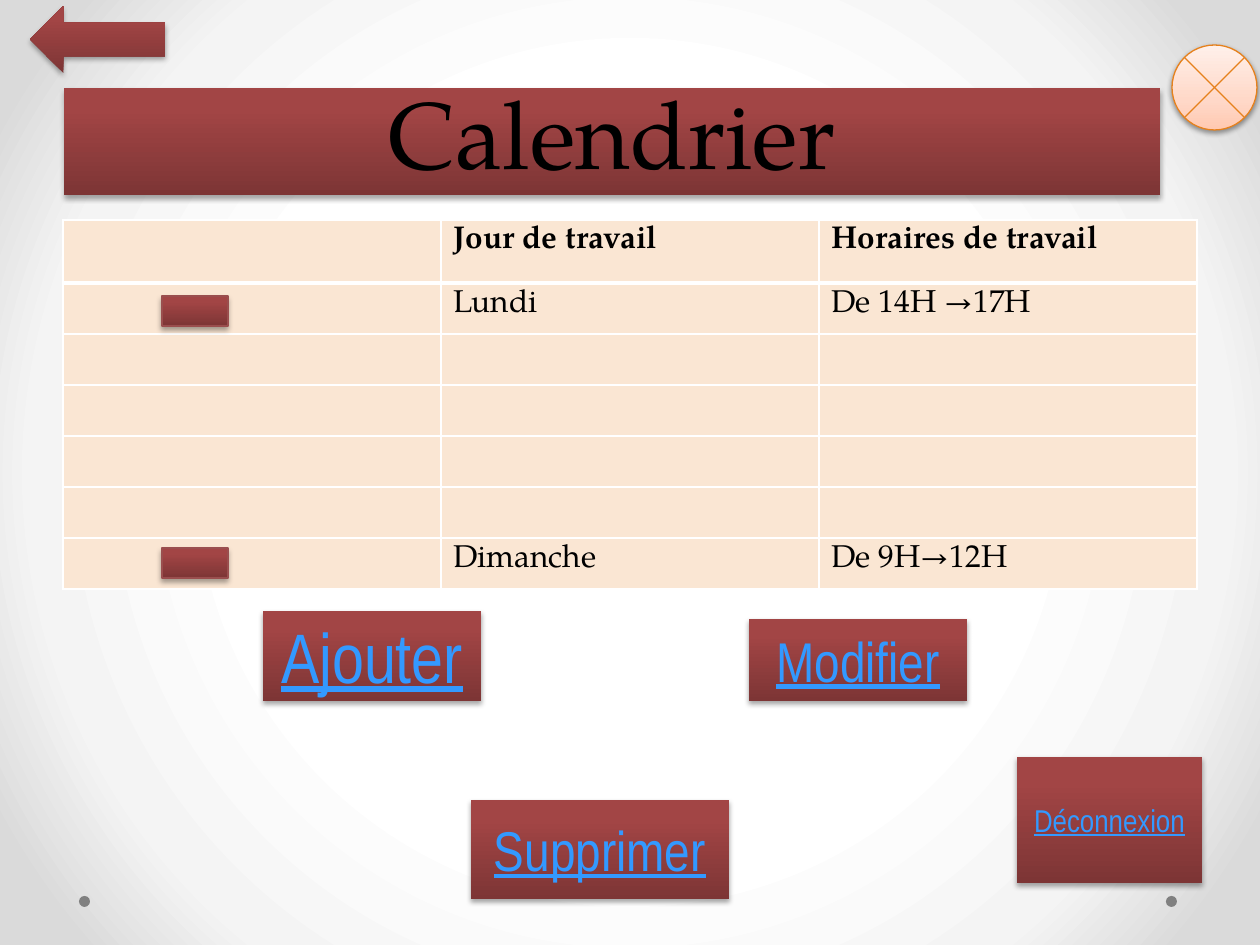
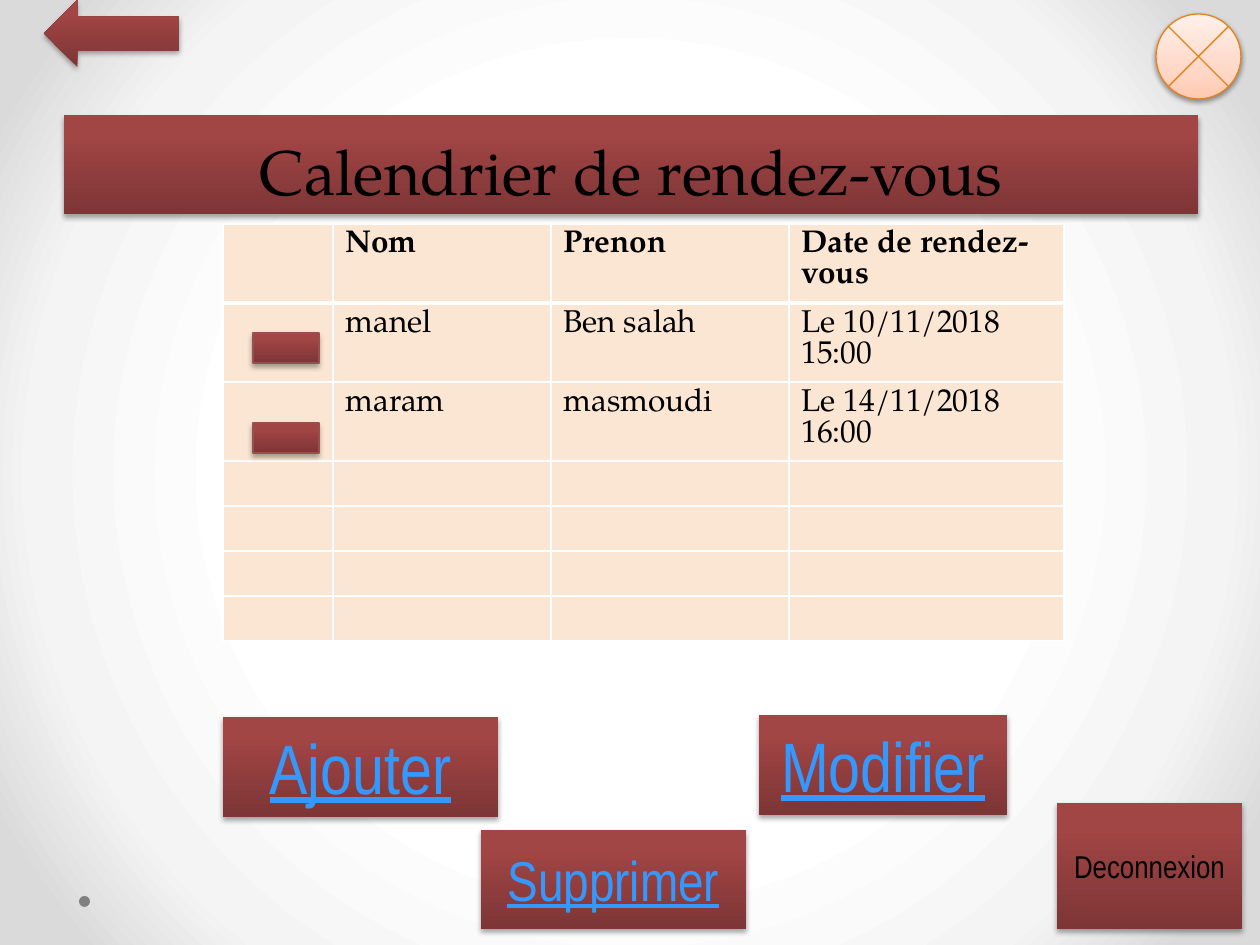
from lxml.etree import SubElement
from pptx import Presentation
from pptx.dml.color import RGBColor
from pptx.enum.shapes import MSO_SHAPE
from pptx.enum.text import MSO_ANCHOR, PP_ALIGN
from pptx.oxml.ns import qn
from pptx.text.text import Font
from pptx.util import Emu, Pt

EMU_PER_PX = 914400 / 126
BODY_FONT = "TeX Gyre Pagella"
BUTTON_FONT = "Arial Narrow"
COLORS = {
    "text": "000000",
    "link": "3399FF",
    "dot": "808080",
    "cell": "FAE6D3",
    "cell_border": "FFFFFF",
    "marker_border": "9A4E4E",
    "close_border": "E6811C",
    "shadow": "000000",
}
RED_STOPS = [(0, "7D3535"), (80, "A24545"), (100, "A44343")]
PEACH_STOPS = [(0, "FFC9B1"), (35, "FFD8C8"), (100, "FFF0EA")]
PAGE_STOPS = [(50, "FFFFFF"), (76, "F4F4F4"), (92, "DADADA")]


def px(length):
    return Emu(round(length * EMU_PER_PX))


def rgb(name):
    return RGBColor.from_string(COLORS[name])


def add_node(parent, tag, **attributes):
    return SubElement(parent, qn(tag), {key: str(value) for key, value in attributes.items()})


def set_gradient(fill, owner, stops, radial=False):
    fill.solid()
    solid = owner.find(qn("a:solidFill"))
    gradient = add_node(owner, "a:gradFill", rotWithShape=1)
    stop_list = add_node(gradient, "a:gsLst")
    for position, color in stops:
        stop = add_node(stop_list, "a:gs", pos=position * 1000)
        add_node(stop, "a:srgbClr", val=color)
    if radial:
        circle = add_node(gradient, "a:path", path="circle")
        add_node(circle, "a:fillToRect", l=50000, t=50000, r=50000, b=50000)
    else:
        add_node(gradient, "a:lin", ang=270 * 60000, scaled=0)
    owner.replace(solid, gradient)


def set_page_background(master):
    fill = master.background.fill
    fill.solid()
    set_gradient(fill, master.element.find(".//" + qn("p:bgPr")), PAGE_STOPS, radial=True)


def add_shadow(shape, opacity, distance):
    effects = shape.element.spPr.find(qn("a:effectLst"))
    shadow = add_node(effects, "a:outerShdw", blurRad=Pt(3.1), dist=Pt(distance),
                      dir=90 * 60000, rotWithShape=0)
    color = add_node(shadow, "a:srgbClr", val=COLORS["shadow"])
    add_node(color, "a:alpha", val=opacity * 1000)


def format_font(font, name=BODY_FONT, size=18, color="text", bold=False, underline=False):
    font.name = name
    font.size = Pt(size)
    font.bold = bold
    font.underline = underline
    font.color.rgb = rgb(color)


def write_text(frame, text, align=PP_ALIGN.LEFT, spacing=None, **font_format):
    frame.word_wrap = True
    for index, line in enumerate(text.split("\n")):
        para = frame.paragraphs[0] if index == 0 else frame.add_paragraph()
        para.alignment = align
        if spacing:
            para.line_spacing = Pt(spacing)
        if line:
            span = para.add_run()
            span.text = line
            format_font(span.font, **font_format)
        else:
            format_font(Font(para._p.get_or_add_endParaRPr()), **font_format)


def add_plain_shape(page, kind, box, border=None):
    shape = page.shapes.add_shape(kind, *map(px, box))
    shape.shadow.inherit = False
    if border:
        shape.line.color.rgb = rgb(border)
        shape.line.width = Pt(0.75)
    else:
        shape.line.fill.background()
    return shape


def add_glossy_shape(page, kind, box, stops=RED_STOPS, border=None, opacity=35, distance=1.8):
    shape = add_plain_shape(page, kind, box, border)
    set_gradient(shape.fill, shape.element.spPr, stops)
    add_shadow(shape, opacity, distance)
    return shape


def add_dot(page, left):
    dot = add_plain_shape(page, MSO_SHAPE.OVAL, (left, 896, 11, 11))
    dot.fill.solid()
    dot.fill.fore_color.rgb = rgb("dot")


def add_title(page, text, box, size):
    band = add_glossy_shape(page, MSO_SHAPE.RECTANGLE, box)
    band.text_frame.vertical_anchor = MSO_ANCHOR.BOTTOM
    write_text(band.text_frame, text, align=PP_ALIGN.CENTER, spacing=58, size=size)


def add_button(page, text, box, size, color="link"):
    button = add_glossy_shape(page, MSO_SHAPE.RECTANGLE, box)
    button.text_frame.vertical_anchor = MSO_ANCHOR.MIDDLE
    write_text(button.text_frame, text, align=PP_ALIGN.CENTER, name=BUTTON_FONT,
               size=size, color=color, underline=color == "link")


def add_navigation(page, arrow_corner, close_corner):
    add_glossy_shape(page, MSO_SHAPE.LEFT_ARROW, (*arrow_corner, 135, 67))
    add_glossy_shape(page, MSO_SHAPE.FLOWCHART_SUMMING_JUNCTION, (*close_corner, 85, 85),
                     stops=PEACH_STOPS, border="close_border", opacity=38, distance=1.6)


def add_row_markers(page, left, tops):
    for top in tops:
        add_glossy_shape(page, MSO_SHAPE.RECTANGLE, (left, top, 66, 30), border="marker_border")


def set_borders(cell, top, bottom):
    properties = cell._tc.get_or_add_tcPr()
    for side, width in (("L", 1), ("R", 1), ("T", top), ("B", bottom)):
        line = add_node(properties, f"a:ln{side}", w=Pt(width))
        add_node(add_node(line, "a:solidFill"), "a:srgbClr", val=COLORS["cell_border"])


def add_schedule(page, corner, widths, heights, texts):
    box = (*corner, sum(widths), sum(heights))
    table = page.shapes.add_table(len(heights), len(widths), *map(px, box)).table
    table.first_row = True
    table.horz_banding = False
    for column, width in zip(table.columns, widths):
        column.width = px(width)
    for row_index, height in enumerate(heights):
        table.rows[row_index].height = px(height)
        row_texts = texts.get(row_index, ())
        for column_index in range(len(widths)):
            cell = table.cell(row_index, column_index)
            text = row_texts[column_index - 1] if row_texts and column_index else ""
            write_text(cell.text_frame, text, bold=row_index == 0)
            set_borders(cell, top=3 if row_index == 1 else 1, bottom=3 if row_index == 0 else 1)
            cell.fill.solid()
            cell.fill.fore_color.rgb = rgb("cell")


def build_work_calendar(page):
    add_dot(page, 1166)
    add_dot(page, 79)
    add_title(page, "Calendrier", (64, 88, 1096, 107), 54)
    add_schedule(page, (63, 220), [378] * 3, [63] + [51] * 6, {
        0: ("Jour de travail", "Horaires de travail"),
        1: ("Lundi", "De 14H →17H"),
        6: ("Dimanche", "De 9H→12H"),
    })
    add_button(page, "Ajouter", (263, 611, 218, 90), 40)
    add_button(page, "Modifier", (749, 619, 218, 82), 32)
    add_button(page, "Supprimer", (471, 800, 258, 99), 32)
    add_button(page, "Déconnexion", (1017, 757, 185, 126), 18)
    add_navigation(page, (30, 6), (1172, 45))
    add_row_markers(page, 162, (296, 548))


def build_appointment_calendar(page):
    add_dot(page, 79)
    add_title(page, "Calendrier de rendez-vous", (64, 115, 1134, 99), 36)
    add_schedule(page, (223, 224), [110, 218, 238, 275], [79] * 3 + [45] * 4, {
        0: ("Nom", "Prenon", "Date de rendez-vous"),
        1: ("manel", "Ben salah", "Le 10/11/2018\n15:00"),
        2: ("maram", "masmoudi", "Le 14/11/2018\n16:00"),
    })
    add_button(page, "Ajouter", (223, 717, 275, 100), 40)
    add_button(page, "Modifier", (759, 715, 248, 100), 40)
    add_button(page, "Supprimer", (481, 830, 265, 99), 32)
    add_button(page, "Deconnexion", (1057, 803, 185, 126), 18, color="text")
    add_navigation(page, (44, 0), (1156, 14))
    add_row_markers(page, 253, (333, 423))


def main():
    deck = Presentation()
    deck.slide_width, deck.slide_height = px(1260), px(945)
    set_page_background(deck.slide_master)
    for build in (build_work_calendar, build_appointment_calendar):
        build(deck.slides.add_slide(deck.slide_layouts[6]))
    deck.save("out.pptx")


if __name__ == "__main__":
    main()
